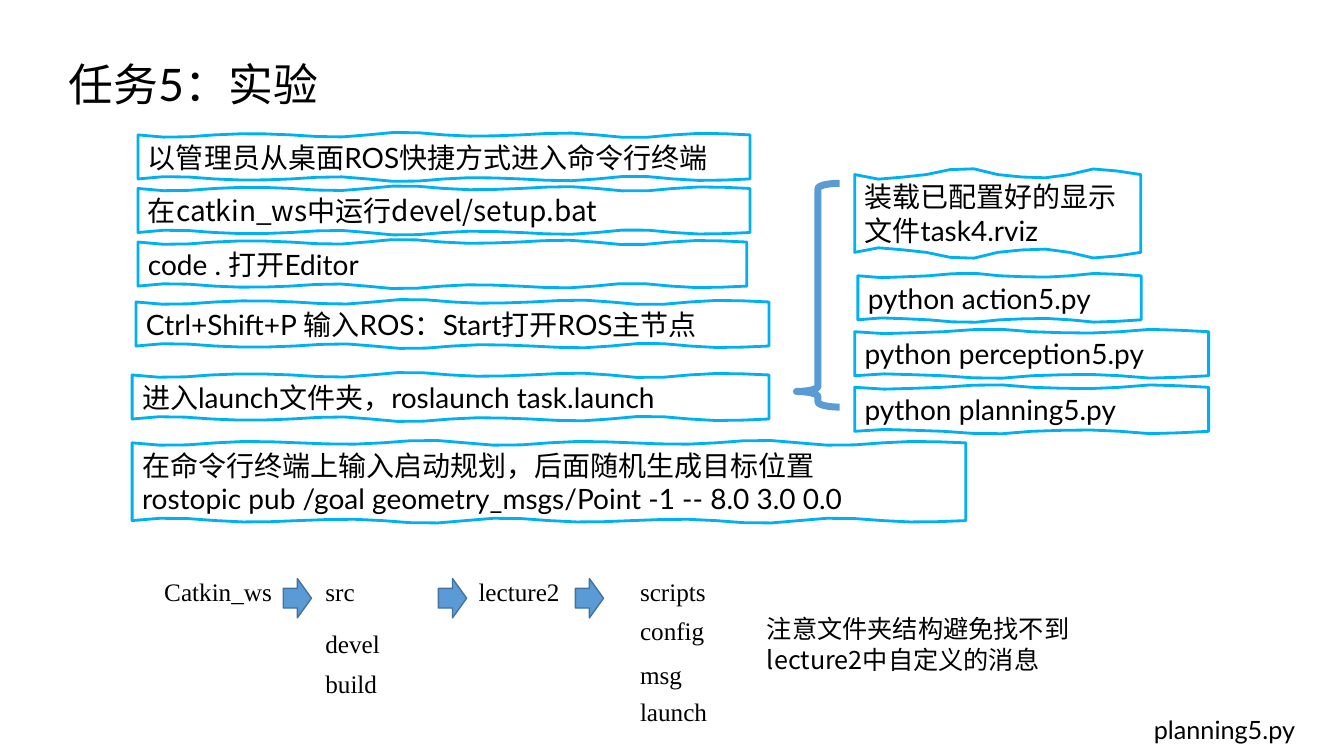
"""Build the slide for task 5: launch steps, node scripts and folder structure."""
from math import cos, pi, sin

from lxml import etree
from pptx import Presentation
from pptx.dml.color import RGBColor
from pptx.enum.shapes import MSO_SHAPE
from pptx.enum.text import MSO_ANCHOR, MSO_AUTO_SIZE, PP_ALIGN
from pptx.oxml.ns import qn
from pptx.util import Cm, Pt

LEFT = PP_ALIGN.LEFT
TOP = MSO_ANCHOR.TOP
MIDDLE = MSO_ANCHOR.MIDDLE
NO_AUTOFIT = MSO_AUTO_SIZE.NONE
LEFT_BRACE = MSO_SHAPE.LEFT_BRACE
RIGHT_ARROW = MSO_SHAPE.RIGHT_ARROW

BLACK = RGBColor(0x00, 0x00, 0x00)
SKY = RGBColor(0x00, 0xB0, 0xF0)
BLUE = RGBColor(0x5B, 0x9B, 0xD5)
DARK_BLUE = RGBColor(0x43, 0x73, 0x9E)
LATO = "Lato"
NOTO = "Noto Sans CJK SC"
TIMES = "Times New Roman"


def write(shape, paragraphs, size, anchor=TOP):
    """Fill a shape with paragraphs, each a list of (text, font) runs."""
    frame = shape.text_frame
    frame.word_wrap = True
    frame.auto_size = NO_AUTOFIT
    frame.vertical_anchor = anchor
    for index, runs in enumerate(paragraphs):
        para = frame.add_paragraph() if index else frame.paragraphs[0]
        para.alignment = LEFT
        for text, font in runs:
            span = para.add_run()
            span.text = text
            span.font.size = Pt(size)
            span.font.color.rgb = BLACK
            span.font.name = font
            east_asian = etree.SubElement(span.font._element, qn("a:ea"))
            east_asian.set("typeface", NOTO)


def add_wavy_box(left, top, width, height, swing):
    """Draw a box with straight sides and wavy top and bottom edges."""
    waves = round(width / 4)
    steps = waves * 6
    upper, lower = [], []
    for step in range(steps + 1):
        share = step / steps
        wave = swing * sin(2 * pi * waves * share) * (0.7 + 0.3 * cos(5 * pi * share))
        x = Cm(left + width * share)
        upper.append((x, Cm(top + wave)))
        lower.append((x, Cm(top + height - wave)))
    outline = upper + lower[::-1]
    builder = slide.shapes.build_freeform(*outline[0], scale=1.0)
    builder.add_line_segments(outline[1:], close=True)
    box = builder.convert_to_shape()
    box.shadow.inherit = False
    box.fill.background()
    box.line.color.rgb = SKY
    box.line.width = Pt(2)
    return box


deck = Presentation()
deck.slide_width = Cm(33.87)
deck.slide_height = Cm(19.05)
slide = deck.slides.add_slide(deck.slide_layouts[5])

title = slide.shapes.title
title.left, title.top, title.width, title.height = Cm(1.47), Cm(1.3), Cm(18.87), Cm(1.63)
write(title, [[("任务5：实验", LATO)]], 32, MIDDLE)

ROW, DOUBLE_ROW = 1.11, 1.96
SMALL_SWING, LARGE_SWING = 0.07, 0.17
steps_and_scripts = [
    (3.48, 3.4, 15.42, ROW, SMALL_SWING,
     [[("以管理员从桌面", NOTO), ("ROS", LATO), ("快捷方式进入命令行终端", NOTO)]]),
    (3.48, 4.75, 15.42, ROW, SMALL_SWING, [[("在catkin_ws中运行devel/setup.bat", NOTO)]]),
    (3.48, 6.1, 15.34, ROW, SMALL_SWING,
     [[("code . ", LATO), ("打开", NOTO), ("Editor", LATO)]]),
    (3.43, 7.61, 15.95, ROW, SMALL_SWING,
     [[("Ctrl+Shift+P ", LATO), ("输入", NOTO), ("ROS：Start", LATO),
       ("打开", NOTO), ("ROS", LATO), ("主节点", NOTO)]]),
    (3.33, 9.45, 16.05, ROW, SMALL_SWING,
     [[("进入launch文件夹，roslaunch task.launch", LATO)]]),
    (3.33, 11.16, 21.01, DOUBLE_ROW, SMALL_SWING,
     [[("在命令行终端上输入启动规划，后面随机生成目标位置", LATO)],
      [("rostopic pub /goal geometry_msgs/Point -1 -- 8.0 3.0 0.0", LATO)]]),
    (21.54, 4.4, 7.21, DOUBLE_ROW, LARGE_SWING, [[("装载已配置好的显示文件task4.rviz", LATO)]]),
    (21.62, 6.95, 7.14, ROW, SMALL_SWING, [[("python action5.py", LATO)]]),
    (21.54, 8.36, 8.92, ROW, SMALL_SWING, [[("python perception5.py", LATO)]]),
    (21.54, 9.76, 8.92, ROW, SMALL_SWING, [[("python planning5.py", LATO)]]),
]
for left, top, width, height, swing, paragraphs in steps_and_scripts:
    write(add_wavy_box(left, top, width, height, swing), paragraphs, 20, MIDDLE)

brace = slide.shapes.add_shape(LEFT_BRACE, Cm(20.07), Cm(4.62), Cm(1.09), Cm(5.64))
brace.adjustments[0] = 0.12
brace.adjustments[1] = 0.93
brace.shadow.inherit = False
brace.fill.background()
brace.line.color.rgb = BLUE
brace.line.width = Pt(5)

folder_columns = [
    (3.89, [("Catkin_ws", 14.4)]),
    (7.95, [("src", 14.4), ("devel", 15.7), ("build", 16.71)]),
    (11.81, [("lecture2", 14.4)]),
    (15.88, [("scripts", 14.4), ("config", 15.39), ("msg", 16.48), ("launch", 17.42)]),
]
for left, folders in folder_columns:
    for name, top in folders:
        label = slide.shapes.add_textbox(Cm(left), Cm(top), Cm(4.06), Cm(1.02))
        write(label, [[(name, TIMES)]], 18)

for left in (7.14, 11.05, 14.5):
    arrow = slide.shapes.add_shape(RIGHT_ARROW, Cm(left), Cm(14.58), Cm(0.71), Cm(0.99))
    arrow.shadow.inherit = False
    arrow.fill.solid()
    arrow.fill.fore_color.rgb = BLUE
    arrow.line.color.rgb = DARK_BLUE
    arrow.line.width = Pt(1)

note = slide.shapes.add_textbox(Cm(19.08), Cm(15.34), Cm(9.75), Cm(1.8))
write(note, [[("注意文件夹结构避免找不到lecture2中自定义的消息", NOTO)]], 18)

script_name = slide.shapes.add_textbox(Cm(28.83), Cm(17.88), Cm(5.04), Cm(1.02))
write(script_name, [[("planning5.py", LATO)]], 18)

deck.save("out.pptx")
